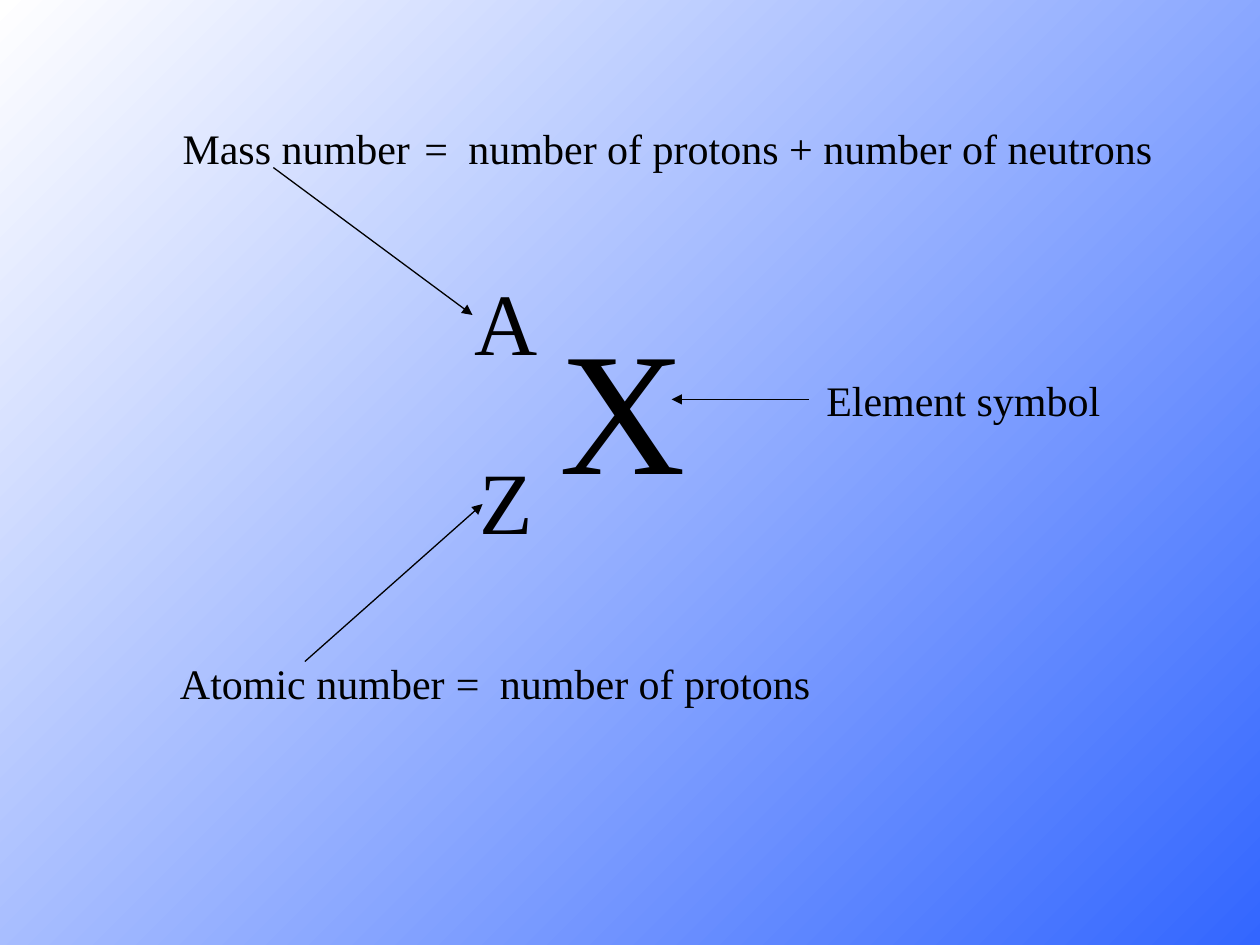
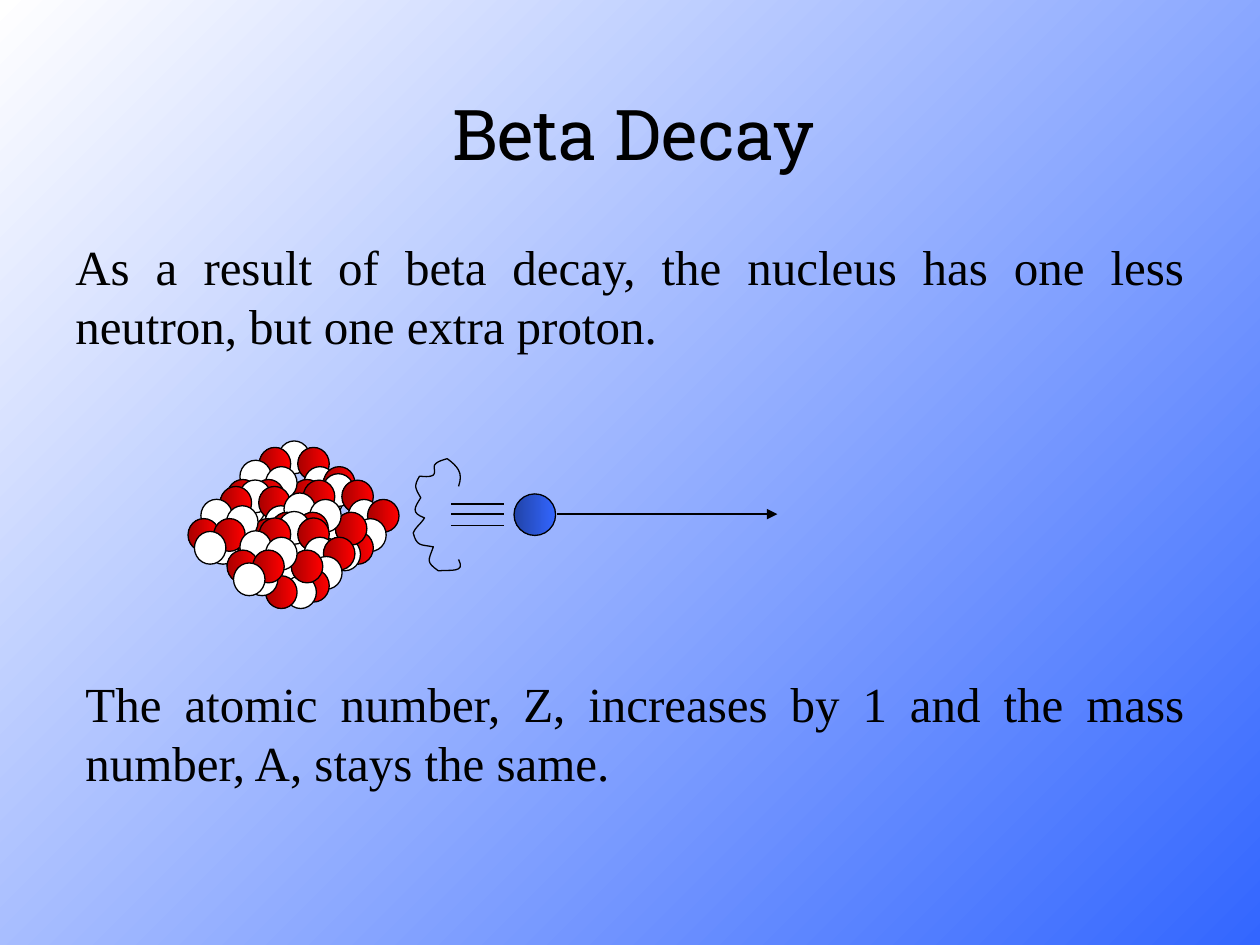
from dataclasses import dataclass

from lxml.etree import SubElement
from pptx import Presentation
from pptx.dml.color import RGBColor
from pptx.enum.shapes import MSO_CONNECTOR, MSO_SHAPE
from pptx.enum.text import MSO_AUTO_SIZE, PP_ALIGN
from pptx.oxml.ns import qn
from pptx.util import Inches, Pt


@dataclass(frozen=True)
class Theme:
    ink: str = "000000"
    paper: str = "FFFFFF"
    sky: str = "3366FF"
    electron_shade: str = "2143A8"
    proton: str = "FF0000"
    proton_shade: str = "A80000"
    body_font: str = "Times New Roman"
    title_font: str = "Roboto Slab"
    label_size: int = 24
    body_size: int = 28
    title_size: int = 40
    index_size: int = 50
    symbol_size: int = 100
    line_width: float = 0.75


THEME = Theme()

# One cluster of nucleons: kind (n neutron, p proton), column and row in steps
CLUSTER = [
    ("n", 0, 0), ("p", 3, 1), ("n", 4, 4), ("p", -3, 1), ("n", -2, 7), ("p", -4, 5),
    ("n", -6, 3), ("p", 7, 4), ("n", 5, 7), ("p", 3, 9), ("n", 1, 10), ("p", -2, 10),
    ("n", -5, 8), ("p", -8, 6), ("p", 2, 6), ("n", -2, 4), ("p", -4, 6), ("n", -7, 8),
]
CLUSTER_STEP = 0.51 / 10
CLUSTER_ORIGINS = [(2.21, 3.5), (1.9, 3.81), (2.56, 3.76), (2.21, 4.06)]
MISSING_PROTON = (0, 11)  # cluster and place left empty

# Ragged edge: start point, then two control points and an end point per curve
EDGE_START = (3.64, 3.86)
EDGE_CURVES = [
    ((3.68, 3.75), (3.63, 3.7), (3.55, 3.64)),
    ((3.52, 3.65), (3.47, 3.66), (3.45, 3.69)),
    ((3.44, 3.71), (3.46, 3.75), (3.44, 3.77)),
    ((3.41, 3.79), (3.36, 3.78), (3.33, 3.78)),
    ((3.28, 3.86), (3.3, 3.88), (3.34, 3.95)),
    ((3.29, 4.03), (3.26, 4.07), (3.37, 4.11)),
    ((3.34, 4.16), (3.3, 4.18), (3.28, 4.23)),
    ((3.31, 4.34), (3.34, 4.32), (3.44, 4.34)),
    ((3.4, 4.45), (3.38, 4.46), (3.48, 4.53)),
    ((3.57, 4.52), (3.7, 4.55), (3.64, 4.44)),
]


def rgb(value):
    return RGBColor.from_string(value)


def fill_gradient(fill, first, last, angle):
    fill.gradient()
    fill.gradient_angle = angle
    for stop, color, position in zip(fill.gradient_stops, (first, last), (0, 1)):
        stop.color.rgb = rgb(color)
        stop.position = position


def style_line(line):
    line.color.rgb = rgb(THEME.ink)
    line.width = Pt(THEME.line_width)


def add_slide(deck):
    slide = deck.slides.add_slide(deck.slide_layouts[6])
    fill_gradient(slide.background.fill, THEME.sky, THEME.paper, 135)
    return slide


def add_text(slide, text, left, top, width, height, size,
             font=THEME.body_font, justified=False, tab=None):
    box = slide.shapes.add_textbox(Inches(left), Inches(top), Inches(width), Inches(height))
    frame = box.text_frame
    frame.word_wrap = justified
    frame.auto_size = MSO_AUTO_SIZE.SHAPE_TO_FIT_TEXT
    paragraph = frame.paragraphs[0]
    paragraph.alignment = PP_ALIGN.JUSTIFY if justified else PP_ALIGN.LEFT
    if tab:
        tabs = SubElement(paragraph._p.get_or_add_pPr(), qn("a:tabLst"))
        SubElement(tabs, qn("a:tab"), pos=str(Inches(tab)), algn="l")
    run = paragraph.add_run()
    run.text = text
    run.font.name = font
    run.font.size = Pt(size)
    run.font.color.rgb = rgb(THEME.ink)


def add_line(slide, start, end, arrow=False):
    points = [Inches(value) for value in (*start, *end)]
    connector = slide.shapes.add_connector(MSO_CONNECTOR.STRAIGHT, *points)
    style_line(connector.line)
    properties = connector._element.spPr
    if arrow:
        SubElement(properties.find(qn("a:ln")), qn("a:tailEnd"), type="triangle")
    SubElement(properties, qn("a:effectLst"))


def add_particle(slide, left, top, width, height, color, shade=None):
    ball = slide.shapes.add_shape(MSO_SHAPE.OVAL, Inches(left), Inches(top),
                                  Inches(width), Inches(height))
    ball.shadow.inherit = False
    if shade:
        fill_gradient(ball.fill, color, shade, 180)
    else:
        ball.fill.solid()
        ball.fill.fore_color.rgb = rgb(color)
    style_line(ball.line)


def add_nucleus(slide):
    colors = {"n": (THEME.paper, None), "p": (THEME.proton, THEME.proton_shade)}
    for cluster, (left, top) in enumerate(CLUSTER_ORIGINS):
        for place, (kind, column, row) in enumerate(CLUSTER):
            if (cluster, place) != MISSING_PROTON:
                add_particle(slide, left + column * CLUSTER_STEP, top + row * CLUSTER_STEP,
                             0.25, 0.26, *colors[kind])


def curve_point(corners, t):
    weights = ((1 - t) ** 3, 3 * t * (1 - t) ** 2, 3 * t * t * (1 - t), t ** 3)
    return tuple(Inches(sum(w * corner[axis] for w, corner in zip(weights, corners)))
                 for axis in (0, 1))


def add_ragged_edge(slide, steps=8):
    points, start = [], EDGE_START
    for curve in EDGE_CURVES:
        points += [curve_point((start, *curve), i / steps) for i in range(1, steps + 1)]
        start = curve[-1]
    builder = slide.shapes.build_freeform(*(Inches(value) for value in EDGE_START))
    builder.add_line_segments(points, close=False)
    edge = builder.convert_to_shape()
    edge.shadow.inherit = False
    edge.fill.background()
    style_line(edge.line)


def build_notation_slide(deck):
    slide = add_slide(deck)
    # Nuclide symbol
    add_text(slide, "X", 4.34, 2.33, 1.2, 1.77, THEME.symbol_size)
    add_text(slide, "A", 3.67, 2.08, 0.7, 0.94, THEME.index_size)
    add_text(slide, "Z", 3.71, 3.5, 0.62, 0.94, THEME.index_size)
    # Labels and their meanings, each box slightly wider than its text
    for label, left, top, width in (("Mass number", 1.35, 0.92, 2.05),
                                    ("Atomic number", 1.33, 5.17, 2.35),
                                    ("Element symbol", 6.46, 2.92, 2.42)):
        add_text(slide, label, left, top, width, 0.5, THEME.label_size)
    for meaning, left, top, width in (
            ("=\tnumber of protons + number of neutrons", 3.27, 0.92, 6.03),
            ("=\tnumber of protons", 3.52, 5.17, 3.06)):
        add_text(slide, meaning, left, top, width, 0.5, THEME.label_size, tab=0.35)
    # Arrows from labels to the symbol
    for start, end in (((2.17, 1.33), (3.75, 2.5)),
                       ((2.42, 5.25), (3.83, 4)),
                       ((6.42, 3.17), (5.33, 3.17))):
        add_line(slide, start, end, arrow=True)


def build_beta_decay_slide(deck):
    slide = add_slide(deck)
    add_text(slide, "Beta Decay", 3.49, 0.67, 3.25, 0.77, THEME.title_size, THEME.title_font)
    add_text(slide, "As a result of beta decay, the nucleus has one less neutron, "
             "but one extra proton.", 0.5, 1.83, 9, 1.04, THEME.body_size, justified=True)
    add_text(slide, "The atomic number, Z, increases by 1 and the mass number, A, "
             "stays the same.", 0.58, 5.3, 8.92, 1.04, THEME.body_size, justified=True)
    add_nucleus(slide)
    # Emitted electron with its path and speed lines
    add_particle(slide, 4.08, 3.92, 0.33, 0.33, THEME.sky, THEME.electron_shade)
    add_line(slide, (4.42, 4.08), (6.17, 4.08), arrow=True)
    for height in (4, 4.08, 4.17):
        add_line(slide, (3.58, height), (4, height))
    add_ragged_edge(slide)


def main():
    deck = Presentation()
    deck.slide_width, deck.slide_height = Inches(10), Inches(7.5)
    build_notation_slide(deck)
    build_beta_decay_slide(deck)
    deck.save("out.pptx")


if __name__ == "__main__":
    main()
